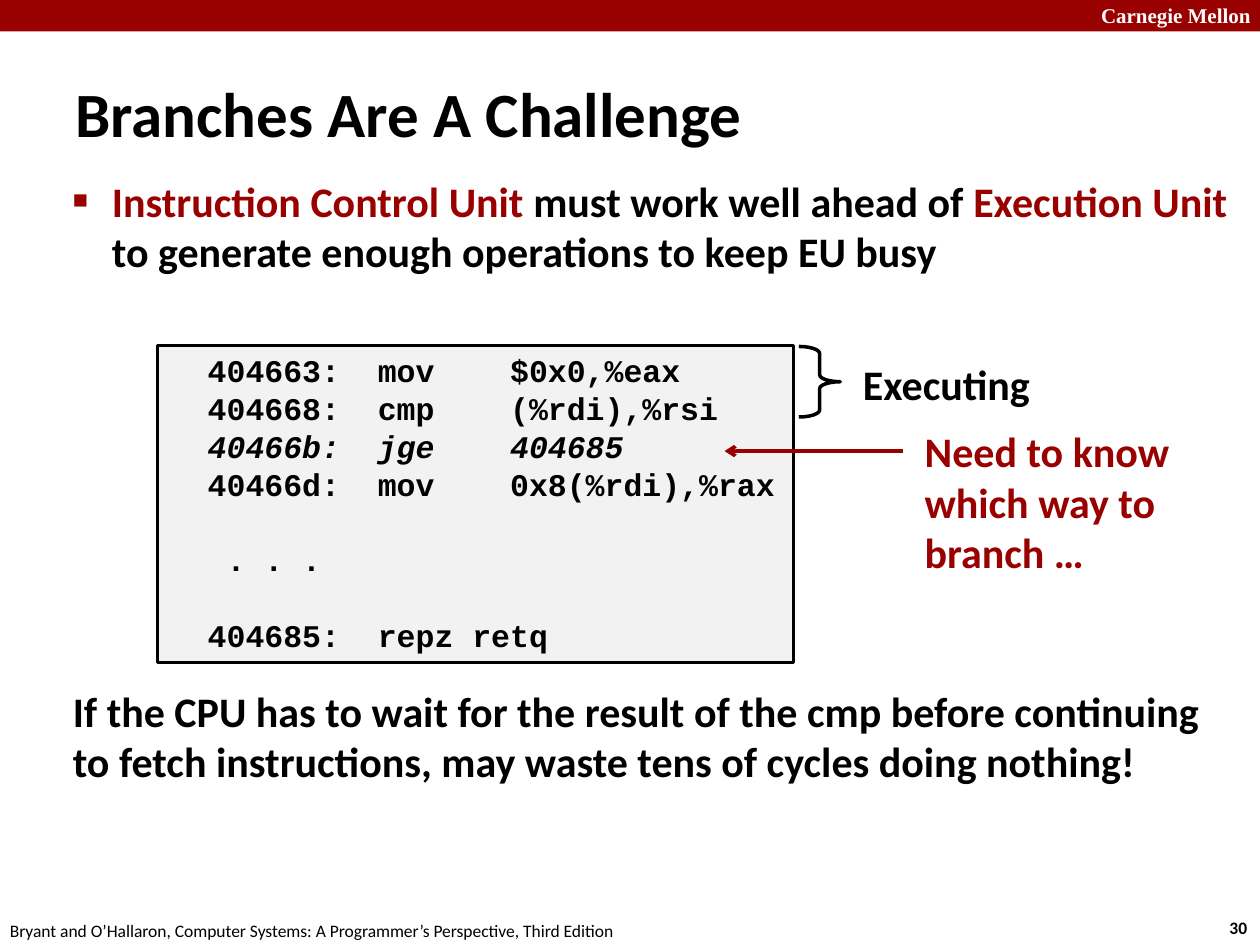
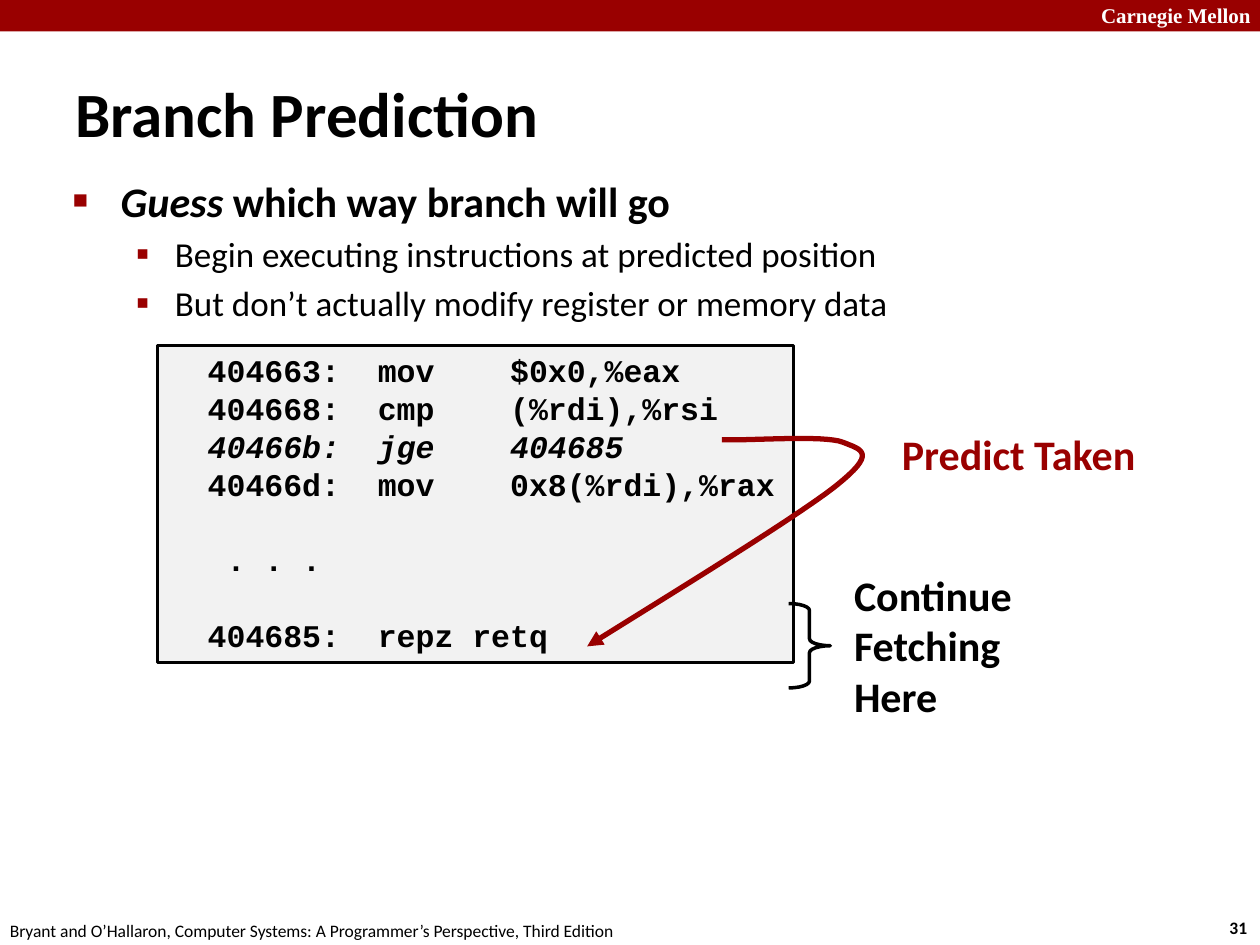
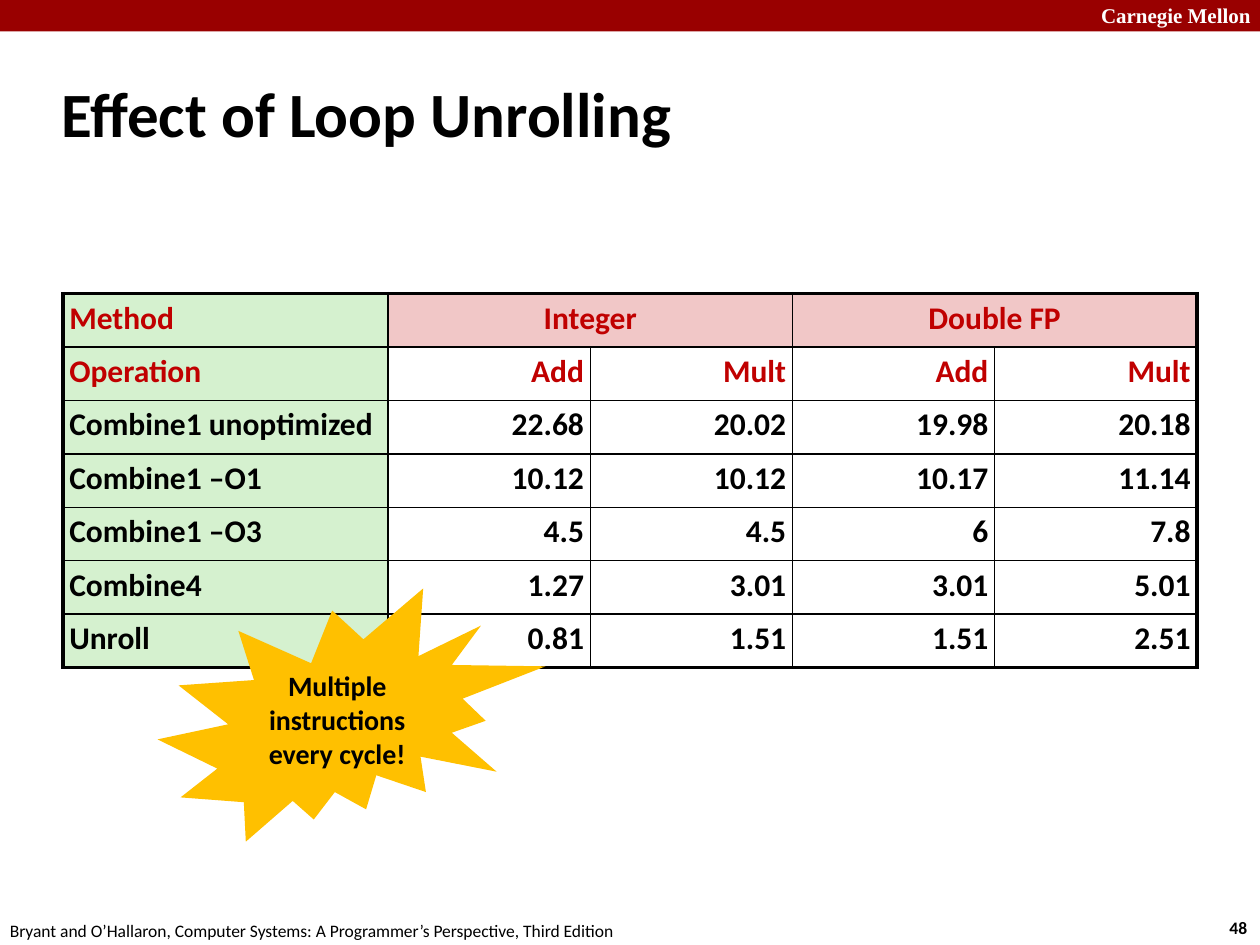
"""Builds three lecture slides on branch prediction and loop unrolling."""
from lxml.etree import SubElement
from pptx import Presentation
from pptx.dml.color import RGBColor
from pptx.enum.shapes import MSO_CONNECTOR, MSO_SHAPE
from pptx.enum.text import MSO_ANCHOR, PP_ALIGN
from pptx.oxml.ns import qn
from pptx.util import Inches, Pt

RED = RGBColor(0x99, 0x00, 0x00)
HEADING_RED = RGBColor(0xC0, 0x00, 0x00)
BLACK = RGBColor(0, 0, 0)
WHITE = RGBColor(0xFF, 0xFF, 0xFF)
CODE_GRAY = RGBColor(0xF2, 0xF2, 0xF2)
METHOD_GREEN = RGBColor(0xD5, 0xF1, 0xCF)
TYPE_PINK = RGBColor(0xF1, 0xC7, 0xC7)
BURST_GOLD = RGBColor(0xFF, 0xC0, 0x00)

UNIVERSITY = "Carnegie Mellon"
FOOTER = "Bryant and O’Hallaron, Computer Systems: A Programmer’s Perspective, Third Edition"
CODE_LINE = 21.6
CODE = [
    ("  404663:  mov    $0x0,%eax", {}),
    ("  404668:  cmp    (%rdi),%rsi", {}),
    ("  40466b:  jge    404685", {"italic": True}),
    ("  40466d:  mov    0x8(%rdi),%rax", {}),
    ("   . . .", {"space_before": CODE_LINE}),
    ("  404685:  repz retq", {"space_before": CODE_LINE}),
]
CONTROL_UNIT = [
    ("Instruction Control Unit ", {"color": RED}),
    "must work well ahead of ",
    ("Execution Unit\n", {"color": RED}),
    "to generate enough operations to keep EU busy",
]
WAITING = ("If the CPU has to wait for the result of the cmp before continuing "
           "to fetch instructions, may waste tens of cycles doing nothing!")
GUESS = [("Guess", {"italic": True}), " which way branch will go"]
GUESS_DETAILS = ["Begin executing instructions at predicted position",
                 "But don’t actually modify register or memory data"]
JUMP_START = (4.66, 5.13)
JUMP_CURVES = [
    ((4.99, 4.92), (6.29, 4.13), (6.63, 3.86)),
    ((6.97, 3.59), (6.84, 3.57), (6.69, 3.51)),
    ((6.54, 3.45), (5.93, 3.5), (5.73, 3.49)),
]
CYCLES = [
    ["Method", "Integer", "", "Double FP", ""],
    ["Operation", "Add", "Mult", "Add", "Mult"],
    ["Combine1 unoptimized", "22.68", "20.02", "19.98", "20.18"],
    ["Combine1 –O1", "10.12", "10.12", "10.17", "11.14"],
    ["Combine1 –O3", "4.5", "4.5", "6", "7.8"],
    ["Combine4", "1.27", "3.01", "3.01", "5.01"],
    ["Unroll", "0.81", "1.51", "1.51", "2.51"],
]


def inches(*lengths):
    return [Inches(length) for length in lengths]


def add_text(frame, text, size=24, color=BLACK, bold=True, italic=False, font="Calibri",
             align=PP_ALIGN.LEFT, space_before=0, line_spacing=None, level=0, bullet=None):
    first = frame.paragraphs[0]
    paragraph = frame.add_paragraph() if first.runs else first
    paragraph.alignment = align
    paragraph.level = level
    paragraph.space_before = Pt(space_before)
    paragraph.line_spacing = line_spacing
    if bullet:
        add_bullet(paragraph, *bullet)
    for piece in [text] if isinstance(text, str) else text:
        words, changes = (piece, {}) if isinstance(piece, str) else piece
        for index, line in enumerate(words.split("\n")):
            if index:
                paragraph.add_line_break()
            if line:
                run = paragraph.add_run()
                run.text = line
                run.font.name = font
                run.font.size = Pt(size)
                run.font.bold = bold
                run.font.italic = changes.get("italic", italic)
                run.font.color.rgb = changes.get("color", color)


def add_bullet(paragraph, character, percent, margin, hanging):
    properties = paragraph._p.get_or_add_pPr()
    properties.set("marL", str(Inches(margin)))
    properties.set("indent", str(-Inches(hanging)))
    color = SubElement(properties, qn("a:buClr"))
    SubElement(color, qn("a:srgbClr"), val=str(RED))
    SubElement(properties, qn("a:buSzPct"), val=str(percent * 1000))
    SubElement(properties, qn("a:buFont"), typeface="Times New Roman")
    SubElement(properties, qn("a:buChar"), char=character)


def add_box(slide, at, text=None, wrap=True, anchor=MSO_ANCHOR.TOP, **text_format):
    frame = slide.shapes.add_textbox(*inches(*at)).text_frame
    frame.word_wrap = wrap
    frame.vertical_anchor = anchor
    if text:
        add_text(frame, text, **text_format)
    return frame


def add_figure(slide, kind, at, fill=None, line=None, width=1):
    shape = slide.shapes.add_shape(kind, *inches(*at))
    style_shape(shape, fill, line, width)
    return shape


def style_shape(shape, fill, line, width):
    shape.shadow.inherit = False
    if fill is None:
        shape.fill.background()
    else:
        shape.fill.solid()
        shape.fill.fore_color.rgb = fill
    if line is None:
        shape.line.fill.background()
    else:
        shape.line.color.rgb = line
        shape.line.width = Pt(width)


def add_arrowhead(shape, end, kind):
    SubElement(shape.line._get_or_add_ln(), qn(f"a:{end}"), type=kind)


def add_slide(presentation, title, number, title_at=(0.5, 0.58, 7.02, 0.63)):
    slide = presentation.slides.add_slide(presentation.slide_layouts[6])
    add_figure(slide, MSO_SHAPE.RECTANGLE, (0, 0, 10, 0.25), fill=RED)
    add_box(slide, (8.64, -0.03, 1.43, 0.3), UNIVERSITY, size=12, color=WHITE,
            font="Times New Roman")
    add_box(slide, (9.66, 7.23, 0.37, 0.27), str(number), wrap=False, size=10)
    add_box(slide, (-0.02, 7.25, 5.08, 0.27), FOOTER, wrap=False, size=10, bold=False)
    add_box(slide, title_at, title, anchor=MSO_ANCHOR.MIDDLE, size=36)
    return slide


def add_code(slide):
    listing = add_figure(slide, MSO_SHAPE.RECTANGLE, (1.25, 2.74, 5.05, 2.52),
                         fill=CODE_GRAY, line=BLACK, width=1.5)
    frame = listing.text_frame
    frame.word_wrap = False
    frame.vertical_anchor = MSO_ANCHOR.TOP
    for text, text_format in CODE:
        add_text(frame, text, size=18, font="Courier New", line_spacing=Pt(CODE_LINE),
                 **text_format)


def add_brace(slide, at):
    brace = add_figure(slide, MSO_SHAPE.RIGHT_BRACE, at, line=BLACK, width=2)
    brace.adjustments[0] = 0.167


def curve_points(start, curves, steps=16):
    points = [start]
    for first, second, end in curves:
        origin = points[-1]
        for step in range(1, steps + 1):
            t = step / steps
            weights = ((1 - t) ** 3, 3 * t * (1 - t) ** 2, 3 * t * t * (1 - t), t ** 3)
            points.append(tuple(sum(weight * value for weight, value in zip(weights, axis))
                                for axis in zip(origin, first, second, end)))
    return points


def add_border(cell, side, width):
    line = SubElement(cell._tc.get_or_add_tcPr(), qn(f"a:ln{side}"), w=str(Pt(width)))
    fill = SubElement(line, qn("a:solidFill"))
    SubElement(fill, qn("a:srgbClr"), val=str(BLACK))


def add_cycles_table(slide):
    rows, columns = len(CYCLES), len(CYCLES[0])
    table = slide.shapes.add_table(rows, columns, *inches(0.5, 2.33, 9, 2.97)).table
    table.first_row = table.horz_banding = False
    for index, column in enumerate(table.columns):
        column.width = Inches((9 - 2.58) / (columns - 1) if index else 2.58)
    for c in (1, 3):
        table.cell(0, c).merge(table.cell(0, c + 1))
    for r, values in enumerate(CYCLES):
        for c, value in enumerate(values):
            cell = table.cell(r, c)
            cell.margin_left = cell.margin_right = Inches(0.05)
            cell.margin_top = cell.margin_bottom = Inches(0.05)
            last_column = c + (cell.span_width if cell.is_merge_origin else 1) == columns
            outer_sides = {"L": c == 0, "R": last_column, "T": r == 0, "B": r == rows - 1}
            for side, outer in outer_sides.items():
                add_border(cell, side, 2.25 if outer else 1)
            if c and r:
                cell.fill.background()
            else:
                cell.fill.solid()
                cell.fill.fore_color.rgb = TYPE_PINK if c else METHOD_GREEN
            align = PP_ALIGN.LEFT if c == 0 else PP_ALIGN.RIGHT if r else PP_ALIGN.CENTER
            if value:
                add_text(cell.text_frame, value, size=18, align=align, line_spacing=0.95,
                         color=HEADING_RED if r < 2 else BLACK)


def build_challenge(presentation):
    slide = add_slide(presentation, "Branches Are A Challenge", 30)
    add_box(slide, (0.48, 1.34, 9.43, 1), CONTROL_UNIT, bullet=("■", 60, 0.31, 0.31))
    add_box(slide, (0.48, 5.39, 9.43, 1), WAITING)
    add_code(slide)
    add_brace(slide, (6.34, 2.75, 0.33, 0.56))
    add_box(slide, (6.75, 2.8, 1.54, 0.5), "Executing", wrap=False)
    add_box(slide, (7.24, 3.33, 2.16, 1.31), "Need to know\nwhich way to\nbranch …",
            wrap=False, color=RED)
    arrow = slide.shapes.add_connector(MSO_CONNECTOR.STRAIGHT, *inches(7.17, 3.58, 5.75, 3.58))
    arrow.line.color.rgb = RED
    arrow.line.width = Pt(2)
    add_arrowhead(arrow, "tailEnd", "arrow")
    SubElement(arrow._element.spPr, qn("a:effectLst"))


def build_prediction(presentation):
    slide = add_slide(presentation, "Branch Prediction", 31)
    body = add_box(slide, (0.48, 1.34, 9.43, 1.4), GUESS, bullet=("■", 60, 0.38, 0.38))
    for detail in GUESS_DETAILS:
        add_text(body, detail, size=20, bold=False, space_before=4, level=1,
                 bullet=("▪", 110, 0.81, 0.31))
    add_code(slide)
    add_box(slide, (7.06, 3.35, 2.07, 0.5), "Predict Taken", wrap=False, color=RED)
    add_brace(slide, (6.26, 4.79, 0.33, 0.67))
    add_box(slide, (6.68, 4.47, 1.47, 1.31), "Continue\nFetching\nHere", wrap=False)
    start, *others = [inches(*point) for point in curve_points(JUMP_START, JUMP_CURVES)]
    builder = slide.shapes.build_freeform(*start)
    builder.add_line_segments(others, close=False)
    jump = builder.convert_to_shape()
    style_shape(jump, None, RED, 3)
    add_arrowhead(jump, "headEnd", "triangle")


def build_unrolling(presentation):
    slide = add_slide(presentation, "Effect of Loop Unrolling", 48, (0.39, 0.48, 8.3, 0.83))
    add_cycles_table(slide)
    burst = add_figure(slide, MSO_SHAPE.EXPLOSION2, (1.25, 4.67, 3.08, 2.01), fill=BURST_GOLD)
    burst.text_frame.word_wrap = True
    burst.text_frame.vertical_anchor = MSO_ANCHOR.MIDDLE
    add_text(burst.text_frame, "Multiple instructions every cycle!", size=16,
             align=PP_ALIGN.CENTER)


def main():
    presentation = Presentation()
    presentation.slide_width, presentation.slide_height = inches(10, 7.5)
    build_challenge(presentation)
    build_prediction(presentation)
    build_unrolling(presentation)
    presentation.save("out.pptx")


if __name__ == "__main__":
    main()
